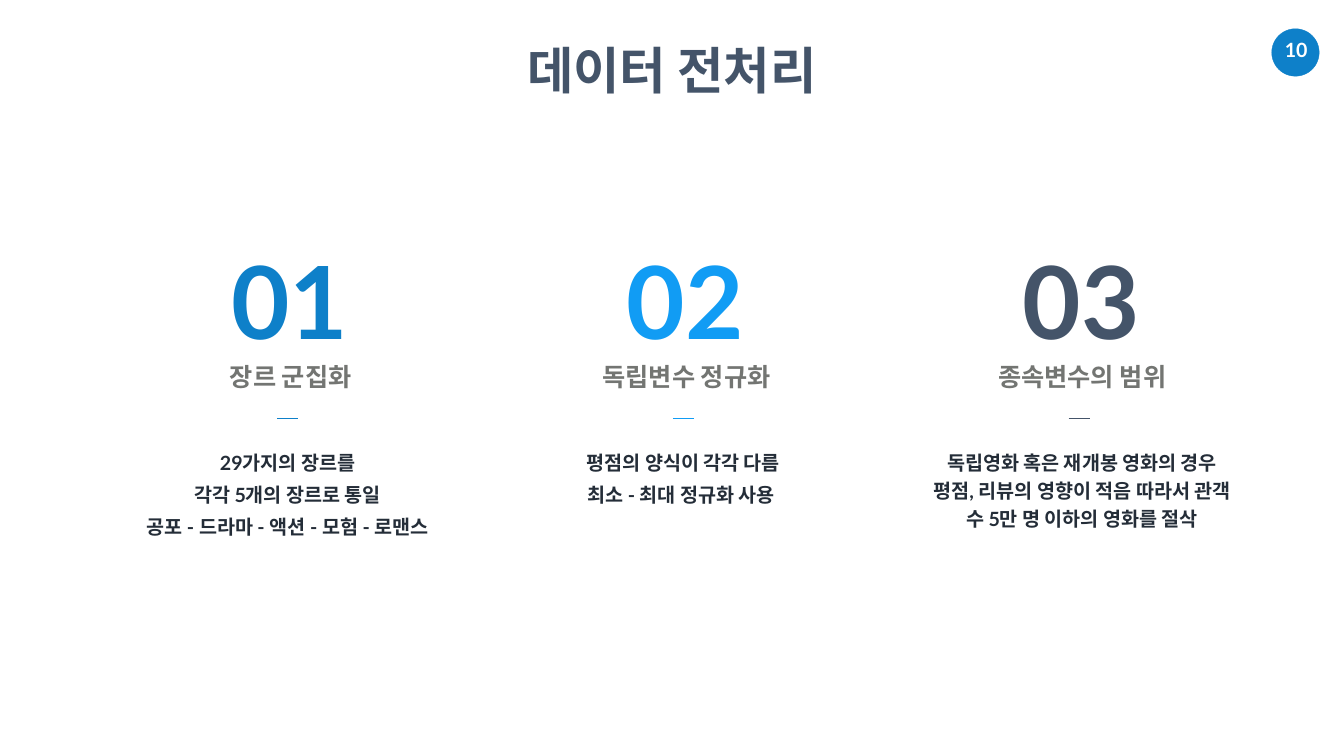
import pptx
import pptx.util
import pptx.dml.color
import pptx.enum.shapes
import pptx.enum.text
import lxml.etree

Cm = pptx.util.Cm
Pt = pptx.util.Pt
RGBColor = pptx.dml.color.RGBColor

COLORS = {
    "blue": "0E80C9",
    "sky": "119CF4",
    "slate": "445469",
    "heading": "737572",
    "body": "242D38",
    "white": "FFFFFF",
}


def write_text(shape, lines, size, color, wrap=True, insets=(0.25, 0.13), **spacing):
    frame = shape.text_frame
    frame_format = {
        "word_wrap": wrap,
        "auto_size": pptx.enum.text.MSO_AUTO_SIZE.NONE,
        "vertical_anchor": pptx.enum.text.MSO_ANCHOR.TOP,
        "margin_left": Cm(insets[0]),
        "margin_right": Cm(insets[0]),
        "margin_top": Cm(insets[1]),
        "margin_bottom": Cm(insets[1]),
    }
    for name, value in frame_format.items():
        setattr(frame, name, value)
    frame.text = "\n".join(lines)
    paragraph_format = {"alignment": pptx.enum.text.PP_ALIGN.CENTER, **spacing}
    font_format = {"name": "Lato", "size": Pt(size), "bold": True}
    for paragraph in frame.paragraphs:
        for name, value in paragraph_format.items():
            setattr(paragraph, name, value)
        font = paragraph.runs[0].font
        for name, value in font_format.items():
            setattr(font, name, value)
        font.color.rgb = RGBColor.from_string(COLORS[color])


def add_centered_box(center, top, width, height):
    return slide.shapes.add_textbox(Cm(center - width / 2), Cm(top), Cm(width), Cm(height))


presentation = pptx.Presentation()
presentation.slide_width = Cm(67.72)
presentation.slide_height = Cm(38.1)
slide = presentation.slides.add_slide(presentation.slide_layouts[5])

title = slide.shapes.title
title_place = {"left": Cm(25.55), "top": Cm(1.83), "width": Cm(16.61), "height": Cm(3.33)}
for name, value in title_place.items():
    setattr(title, name, value)
write_text(title, ["데이터 전처리"], 72, "slate", wrap=False)

badge = slide.shapes.add_shape(
    pptx.enum.shapes.MSO_SHAPE.OVAL, Cm(64.08), Cm(1.45), Cm(2.39), Cm(2.39)
)
badge.shadow.inherit = False
badge.fill.solid()
badge.fill.fore_color.rgb = RGBColor.from_string(COLORS["blue"])
badge.line.color.rgb = RGBColor.from_string(COLORS["blue"])
badge.line.width = Pt(0.5)
page_number = add_centered_box(65.31, 1.68, 2.24, 1.7)
write_text(page_number, ["10"], 28, "white", wrap=False, insets=(0.51, 0.25))

columns = [
    ("blue", "장르 군집화", 7.29, -0.1, 17.75, 5.36,
     ["29가지의 장르를", "각각 5개의 장르로 통일", "공포 - 드라마 - 액션 - 모험 - 로맨스"]),
    ("sky", "독립변수 정규화", 9.86, -0.1, 13.44, 3.68,
     ["평점의 양식이 각각 다름", "최소 - 최대 정규화 사용 "]),
    ("slate", "종속변수의 범위", 9.86, 0.05, 16.59, 4.88,
     ["독립영화 혹은 재개봉 영화의 경우 평점, 리뷰의 영향이 적음 따라서 관객 수 5만 명 이하의 영화를 절삭"]),
]
FIRST_CENTER = 14.59
COLUMN_PITCH = 19.94
RULE_TOP = 21.06
RULE_LENGTH = 1.07

for index, column in enumerate(columns):
    color, heading, heading_width, body_shift, body_width, body_height, body = column
    center = FIRST_CENTER + index * COLUMN_PITCH

    number_box = add_centered_box(center, 11.91, 7.8, 6.4)
    write_text(number_box, [f"{index + 1:02d}"], 144, color)

    heading_box = add_centered_box(center + 0.06, 18.67, heading_width, 1.22)
    write_text(heading_box, [heading], 36, "heading", wrap=False, line_spacing=Pt(26.8))

    rule_left = center - 0.09 - RULE_LENGTH / 2
    rule = slide.shapes.add_connector(
        pptx.enum.shapes.MSO_CONNECTOR.STRAIGHT,
        Cm(rule_left), Cm(RULE_TOP), Cm(rule_left + RULE_LENGTH), Cm(RULE_TOP),
    )
    rule.line.color.rgb = RGBColor.from_string(COLORS[color])
    rule.line.width = Pt(0.5)
    lxml.etree.SubElement(rule._element.spPr, pptx.oxml.ns.qn("a:effectLst"))

    body_box = add_centered_box(center + body_shift, 22.17, body_width, body_height)
    write_text(body_box, body, 28, "body", insets=(0.61, 0.3),
               line_spacing=Pt(40.4), space_before=Pt(5.6))

presentation.save("out.pptx")
